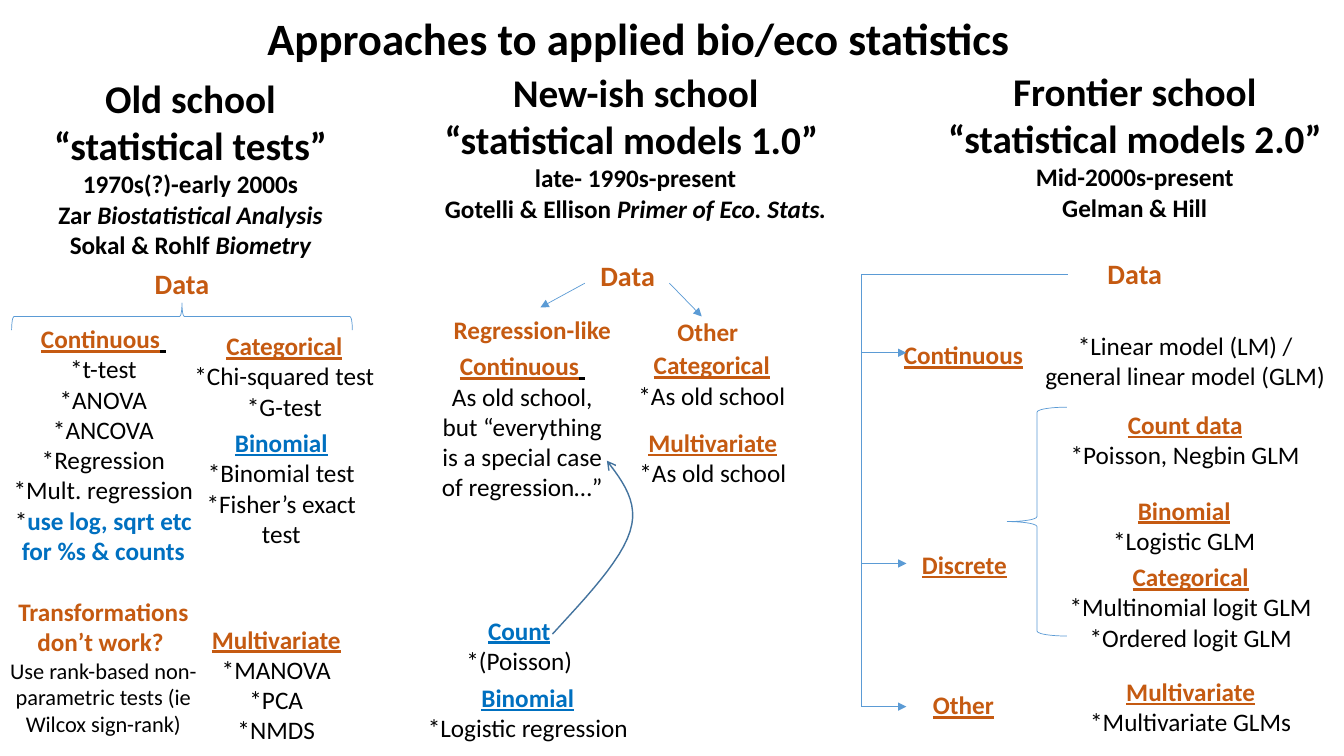
"""Builds a slide that compares three schools of applied bio/eco statistics."""
from lxml.etree import SubElement as Sub
from pptx import Presentation
from pptx.dml.color import RGBColor as RGB
from pptx.enum.shapes import MSO_CONNECTOR as LINK, MSO_SHAPE as SHAPE
from pptx.enum.text import PP_ALIGN as ALIGN
from pptx.oxml.ns import qn
from pptx.util import Inches, Pt

BLACK, RUST, BLUE = "000000", "C55A11", "0070C0"
THEME = {
    "font": "Calibri",
    "line": "5B9BD5",
    "curve": "43739E",
    "thin": 0.5,
    "thick": 1,
    "text": {
        "title": (32, BLACK, "b"),
        "school": (28, BLACK, "b"),
        "era": (18, BLACK, "b"),
        "book": (18, BLACK, "bi"),
        "data": (20, RUST, "b"),
        "group": (18, RUST, "b"),
        "head": (18, RUST, "bu"),
        "blue": (18, BLUE, "bu"),
        "gap": (18, BLACK, "bu"),
        "note": (18, BLUE, "b"),
        "item": (18, BLACK, ""),
        "small": (16, BLACK, ""),
    },
}

deck = Presentation()
deck.slide_width, deck.slide_height = Inches(13.33), Inches(7.5)
slide = deck.slides.add_slide(deck.slide_layouts[6])
shapes = slide.shapes
col, row = deck.slide_width / 13.33, deck.slide_height / 7.5


def place(x, y):
    """Turn grid columns and rows into slide lengths."""
    return round(x * col), round(y * row)


def trace(shape, color=THEME["line"], width=THEME["thin"], tip=None):
    """Style an outline, with an optional arrowhead at its end."""
    shape.line.color.rgb = RGB.from_string(color)
    shape.line.width = Pt(width)
    props = shape.element.spPr
    if tip:
        Sub(props.find(qn("a:ln")), qn("a:tailEnd"), type=tip)
    Sub(props, qn("a:effectLst"))


blocks = [
    (2.37, 0.06, 7.93, 0.64, ["title|Approaches to applied bio/eco statistics"]),
    (-0.29, 0.69, 4.36, 1.95, [
        "school|Old school", "school|“statistical tests”", "era|1970s(?)-early 2000s",
        "era|Zar ~book|Biostatistical Analysis", "era|Sokal & Rohlf ~book|Biometry"]),
    (4.07, 0.63, 4.47, 1.65, [
        "school|New-ish school", "school|“statistical models 1.0” ",
        "era|late- 1990s-present", "era|Gotelli & Ellison ~book|Primer of Eco. Stats."]),
    (9.27, 0.62, 3.97, 1.65, [
        "school|Frontier school", "school|“statistical models 2.0”",
        "era|Mid-2000s-present", "era|Gelman & Hill"]),
    (-1.08, 2.59, 5.77, 0.44, ["data|Data"]),
    (5.56, 2.52, 1.33, 0.44, ["data|Data"]),
    (10.59, 2.5, 1.33, 0.44, ["data|Data"]),
    (0, 3.16, 2.05, 4.51, [
        "head|Continuous~gap| ", "item|*t-test", "item|*ANOVA", "item|*ANCOVA",
        "item|*Regression", "item|*Mult. regression",
        "item|*~note|use log, sqrt etc for %s & counts",
        "group|Transformations don’t work? ",
        "small|Use rank-based non-parametric tests (ie Wilcox sign-rank)"]),
    (1.77, 3.23, 2.1, 1.01, ["head|Categorical", "item|*Chi-squared test", "item|*G-test"]),
    (1.88, 4.19, 1.82, 1.92, [
        "blue|Binomial", "item|*Binomial test", "item|*Fisher’s exact test"]),
    (1.79, 6.14, 1.9, 1.31, ["head|Multivariate", "item|*MANOVA", "item|*PCA", "item|*NMDS"]),
    (4.38, 3.07, 1.8, 0.4, ["group|Regression-like"]),
    (6.55, 3.09, 0.94, 0.4, ["group|Other"]),
    (4.23, 3.43, 1.9, 1.62, [
        "head|Continuous~gap| ",
        "item|As old school, but “everything is a special case of regression…”"]),
    (5.93, 3.42, 2.26, 0.71, ["head|Categorical", "item|*As old school"]),
    (5.94, 4.19, 2.26, 0.71, ["head|Multivariate", "item|*As old school"]),
    (4.11, 6.05, 2.08, 0.71, ["blue|Count", "item|*(Poisson)"]),
    (4.07, 6.72, 2.33, 0.71, ["blue|Binomial", "item|*Logistic regression"]),
    (8.26, 3.32, 2.59, 0.71, ["head|Continuous"]),
    (8.27, 5.4, 2.59, 1.01, ["head|Discrete"]),
    (8.26, 6.79, 2.59, 1.01, ["head|Other"]),
    (10.22, 3.23, 3.07, 0.71, ["item|*Linear model (LM) / general linear model (GLM)"]),
    (10.46, 4.01, 2.59, 0.71, ["head|Count data", "item|*Poisson, Negbin GLM"]),
    (10.45, 4.86, 2.59, 0.71, ["head|Binomial", "item|*Logistic GLM"]),
    (10.43, 5.52, 2.76, 1.01, [
        "head|Categorical", "item|*Multinomial logit GLM", "item|*Ordered logit GLM"]),
    (10.68, 6.66, 2.26, 0.71, ["head|Multivariate", "item|*Multivariate GLMs"]),
]
for x, y, wide, high, paras in blocks:
    frame = shapes.add_textbox(*place(x, y), *place(wide, high)).text_frame
    frame.word_wrap = True
    frame.text = "\n" * (len(paras) - 1)
    for para, line in zip(frame.paragraphs, paras):
        para.alignment = ALIGN.CENTER
        if "Transformations" in line:
            para.space_before = Pt(22)
        for part in line.split("~"):
            style, words = part.split("|")
            size, color, flags = THEME["text"][style]
            run = para.add_run()
            run.text = words
            font = run.font
            font.name, font.size = THEME["font"], Pt(size)
            font.color.rgb = RGB.from_string(color)
            font.bold, font.italic, font.underline = (f in flags for f in "biu")

braces = [
    (SHAPE.RIGHT_BRACE, 1.67, 1.45, 0.27, 3.38, 270),
    (SHAPE.LEFT_BRACE, 9.99, 4.04, 0.59, 2.27, 0),
]
for kind, x, y, wide, high, turn in braces:
    brace = shapes.add_shape(kind, *place(x, y), *place(wide, high))
    brace.rotation = turn
    brace.fill.background()
    trace(brace)

trunk, top, end = 8.54, 2.72, 7.01
links = [
    (5.8, 2.81, 5.36, 3.05, "triangle"),
    (6.64, 2.81, 6.96, 3.14, "triangle"),
    (10.59, top, trunk, top, None),
    (trunk, top, trunk, end, None),
]
links += [(trunk, y, trunk + 0.45, y, "triangle") for y in (3.5, 5.59, end)]
for x1, y1, x2, y2, tip in links:
    link = shapes.add_connector(LINK.STRAIGHT, *place(x1, y1), *place(x2, y2))
    trace(link, tip=tip)

bends = [
    ((5.48, 6.29), (5.82, 5.92), (6.16, 5.56), (6.25, 5.27)),
    ((6.25, 5.27), (6.34, 4.99), (6.18, 4.78), (6.02, 4.57)),
]
steps = 12
dots = []
for bend in bends:
    for step in range(1, steps + 1):
        t = step / steps
        parts = ((1 - t) ** 3, 3 * t * (1 - t) ** 2, 3 * t * t * (1 - t), t ** 3)
        dots.append(place(*(sum(p * v for p, v in zip(parts, axis)) for axis in zip(*bend))))
path = shapes.build_freeform(*place(*bends[0][0]))
path.add_line_segments(dots, close=False)
curve = path.convert_to_shape()
curve.fill.background()
trace(curve, THEME["curve"], THEME["thick"], "arrow")

deck.save("out.pptx")
